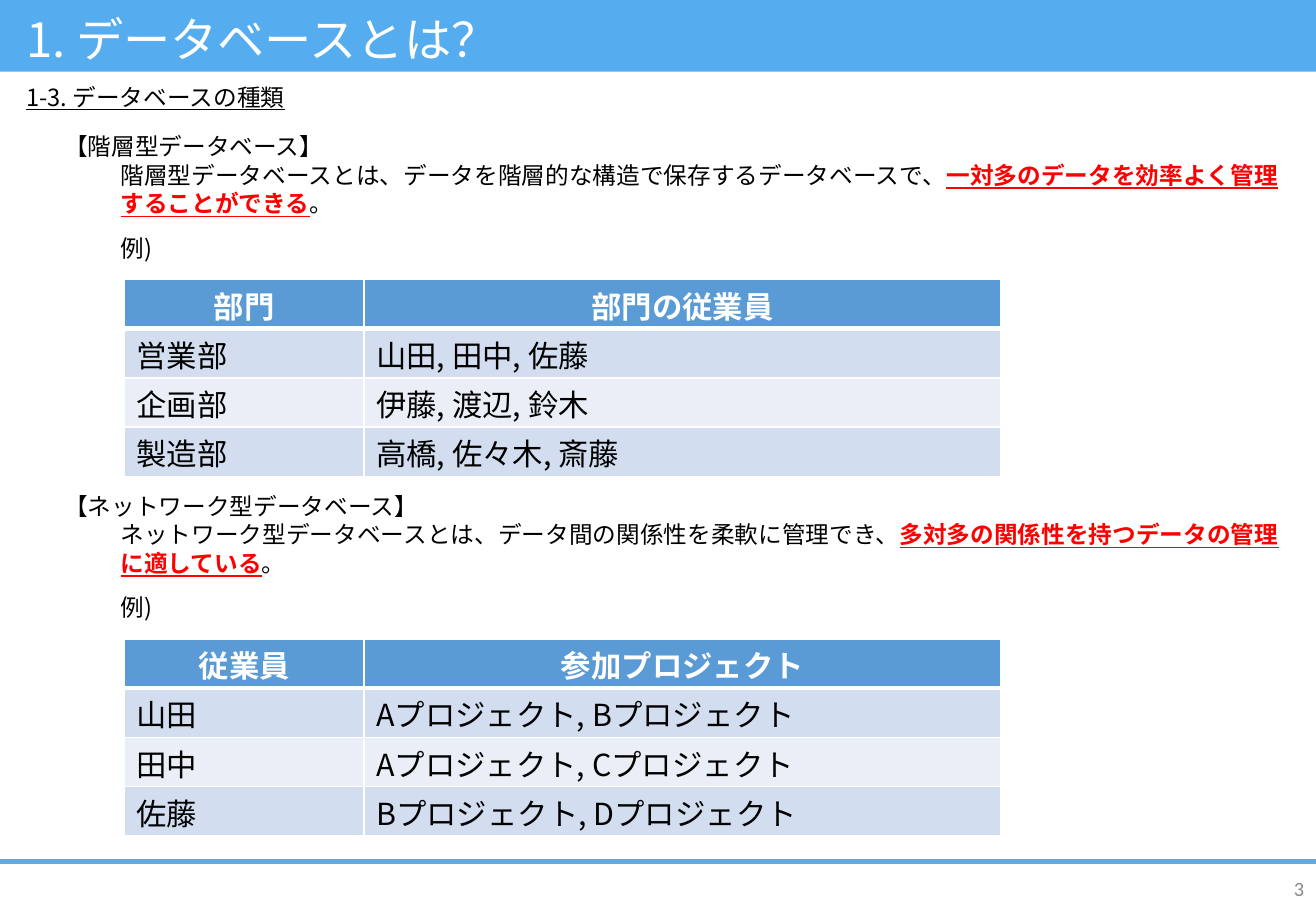
import pptx
import pptx.util
import pptx.dml.color
import pptx.enum.shapes
import pptx.enum.text
import pptx.oxml
import pptx.oxml.ns

Cm = pptx.util.Cm
Pt = pptx.util.Pt
ALIGN = pptx.enum.text.PP_ALIGN
ANCHOR = pptx.enum.text.MSO_ANCHOR
NS = pptx.oxml.ns.nsdecls("a")
JP = "Noto Sans CJK JP"
BLUE, RED, BLACK, WHITE = "55ACEE", "FF0000", "000000", "FFFFFF"
HEADER, BANDS = "5B9BD5", ("D2DEEF", "EAEFF7")
SLIDE_W, SLIDE_H = 27.51, 19.05
LEFT, TEXT_W = 0.3, 26.77
COLUMNS, ROW_H = (5.01, 13.31), 1.03
KEY = {"bold": True, "underline": True}

SECTIONS = [
    (2.64, "階層型データベース",
     "階層型データベースとは、データを階層的な構造で保存するデータベースで、",
     "一対多のデータを効率よく管理することができる",
     [("部門", "部門の従業員"),
      ("営業部", "山田, 田中, 佐藤"),
      ("企画部", "伊藤, 渡辺, 鈴木"),
      ("製造部", "高橋, 佐々木, 斎藤")]),
    (10.16, "ネットワーク型データベース",
     "ネットワーク型データベースとは、データ間の関係性を柔軟に管理でき、",
     "多対多の関係性を持つデータの管理に適している",
     [("従業員", "参加プロジェクト"),
      ("山田", "Aプロジェクト, Bプロジェクト"),
      ("田中", "Aプロジェクト, Cプロジェクト"),
      ("佐藤", "Bプロジェクト, Dプロジェクト")]),
]


def rgb(value):
    return pptx.dml.color.RGBColor.from_string(value)


def assign(target, values):
    for name, value in values.items():
        setattr(target, name, value)


def paint(target, color):
    target.fill.solid()
    target.fill.fore_color.rgb = rgb(color)


def add_run(p, text, size, color=BLACK, font=JP, **style):
    r = p.add_run()
    r.text = text
    assign(r.font, {"size": Pt(size), "name": font, "bold": False, **style})
    r.font.color.rgb = rgb(color)
    ea = pptx.oxml.parse_xml(f'<a:ea {NS} typeface="{font}"/>')
    r.font._element.find(pptx.oxml.ns.qn("a:latin")).addnext(ea)


def format_paragraph(p, size, indent=0, before=0, align=ALIGN.LEFT):
    p._p.get_or_add_pPr().set("marL", str(Cm(indent)))
    assign(p, {"line_spacing": Pt(size * 1.2), "space_before": Pt(before),
               "alignment": align})


def add_box(s, left, top, width, height, anchor=ANCHOR.TOP):
    tf = s.shapes.add_textbox(Cm(left), Cm(top), Cm(width), Cm(height)).text_frame
    assign(tf, {"word_wrap": True, "vertical_anchor": anchor})
    return tf


def add_label(s, box, text, size, anchor=ANCHOR.TOP, align=ALIGN.LEFT, **style):
    p = add_box(s, *box, anchor).paragraphs[0]
    format_paragraph(p, size, align=align)
    add_run(p, text, size, **style)


def add_frame(s):
    bar = s.shapes.add_shape(pptx.enum.shapes.MSO_SHAPE.RECTANGLE,
                             0, 0, Cm(SLIDE_W), Cm(1.5))
    bar.shadow.inherit = False
    paint(bar, BLUE)
    bar.line.fill.background()
    rule = s.shapes.add_connector(pptx.enum.shapes.MSO_CONNECTOR.STRAIGHT,
                                  0, Cm(18.01), Cm(SLIDE_W), Cm(18.01))
    rule.line.color.rgb = rgb(BLUE)
    rule.line.width = Pt(3)
    rule._element.spPr.append(pptx.oxml.parse_xml(f"<a:effectLst {NS}/>"))


def add_description(s, top, heading, lead, key):
    tf = add_box(s, LEFT, top, TEXT_W, 3)
    paragraphs = [
        (0.79, 0, [(f"【{heading}】", {})]),
        (1.97, 0, [(lead, {}), (key, {"color": RED, **KEY}), ("。", {})]),
        (1.97, 9.7, [("例)", {})]),
    ]
    for i, (indent, before, runs) in enumerate(paragraphs):
        p = tf.add_paragraph() if i else tf.paragraphs[0]
        format_paragraph(p, 14, indent, before)
        for text, style in runs:
            add_run(p, text, 14, **style)


def add_borders(cell, row):
    widths = {"L": 1, "R": 1, "T": 3 if row == 1 else 1, "B": 3 if row == 0 else 1}
    tcPr = cell._tc.get_or_add_tcPr()
    for i, (side, width) in enumerate(widths.items()):
        tcPr.insert(i, pptx.oxml.parse_xml(
            f'<a:ln{side} {NS} w="{Pt(width)}"><a:solidFill>'
            f'<a:srgbClr val="{WHITE}"/></a:solidFill></a:ln{side}>'))


def add_grid(s, top, rows):
    table = s.shapes.add_table(len(rows), len(COLUMNS), Cm(2.6), Cm(top),
                               Cm(sum(COLUMNS)), Cm(ROW_H * len(rows))).table
    for column, width in zip(table.columns, COLUMNS):
        column.width = Cm(width)
    for i, row in enumerate(rows):
        table.rows[i].height = Cm(ROW_H)
        for j, text in enumerate(row):
            cell = table.cell(i, j)
            assign(cell, {"margin_top": Cm(0.23), "margin_bottom": 0,
                          "vertical_anchor": ANCHOR.TOP})
            paint(cell, BANDS[(i - 1) % 2] if i else HEADER)
            add_borders(cell, i)
            p = cell.text_frame.paragraphs[0]
            format_paragraph(p, 18, align=ALIGN.LEFT if i else ALIGN.CENTER)
            add_run(p, text, 18, BLACK if i else WHITE, bold=i == 0)


def main():
    prs = pptx.Presentation()
    assign(prs, {"slide_width": Cm(SLIDE_W), "slide_height": Cm(SLIDE_H)})
    s = prs.slides.add_slide(prs.slide_layouts[6])
    add_frame(s)
    add_label(s, (LEFT, 0.18, 27.18, 1.24), "1. データベースとは？", 28,
              ANCHOR.MIDDLE, color=WHITE)
    add_label(s, (21.31, 18.19, 6.2, 0.76), "3", 12, ANCHOR.MIDDLE,
              ALIGN.RIGHT, color="898989", font="Calibri")
    add_label(s, (LEFT, 1.6, TEXT_W, 0.86), "1-3. データベースの種類", 14,
              underline=True)
    for top, heading, lead, key, rows in SECTIONS:
        add_description(s, top, heading, lead, key)
        add_grid(s, top + 3.2, rows)
    prs.save("out.pptx")


if __name__ == "__main__":
    main()
